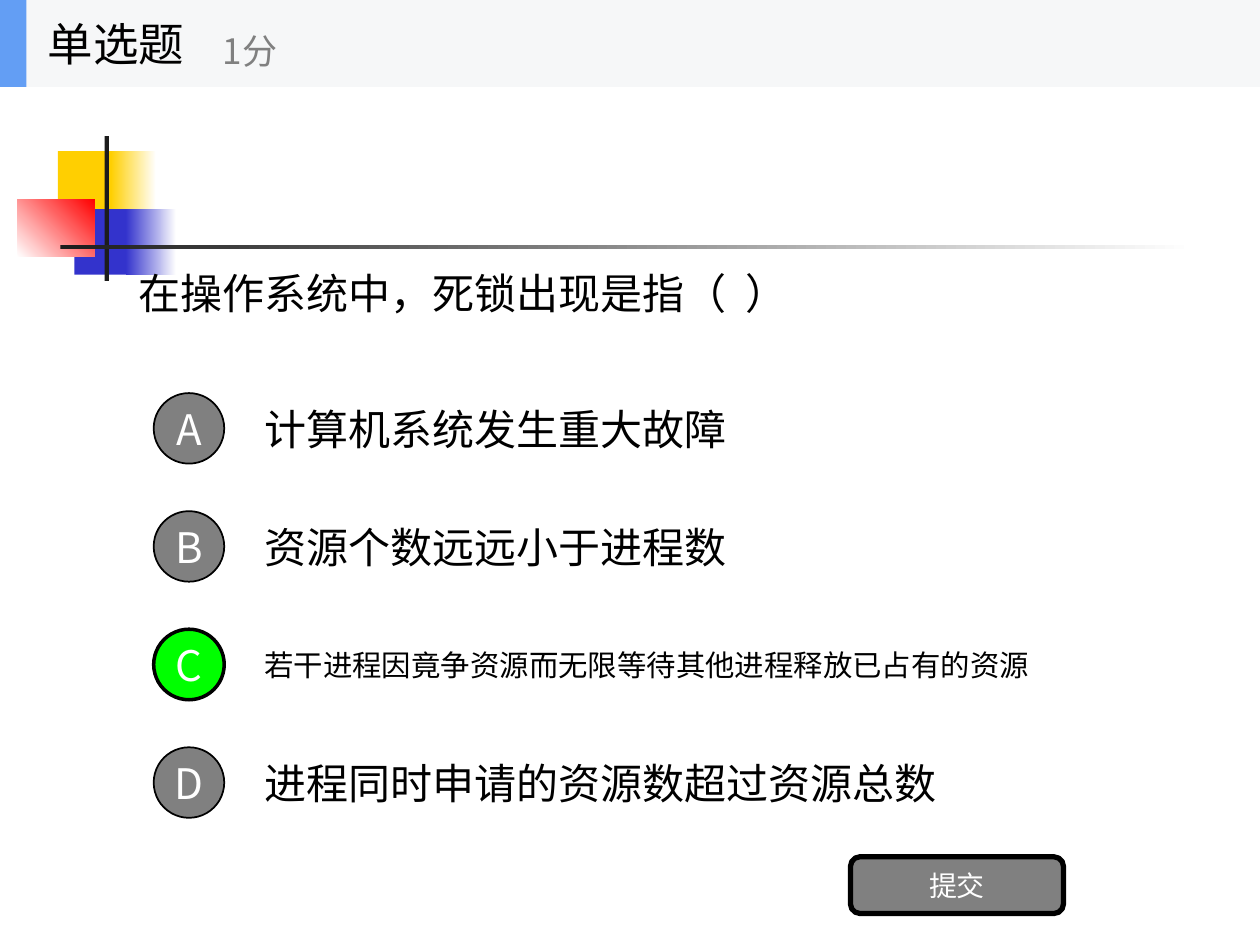
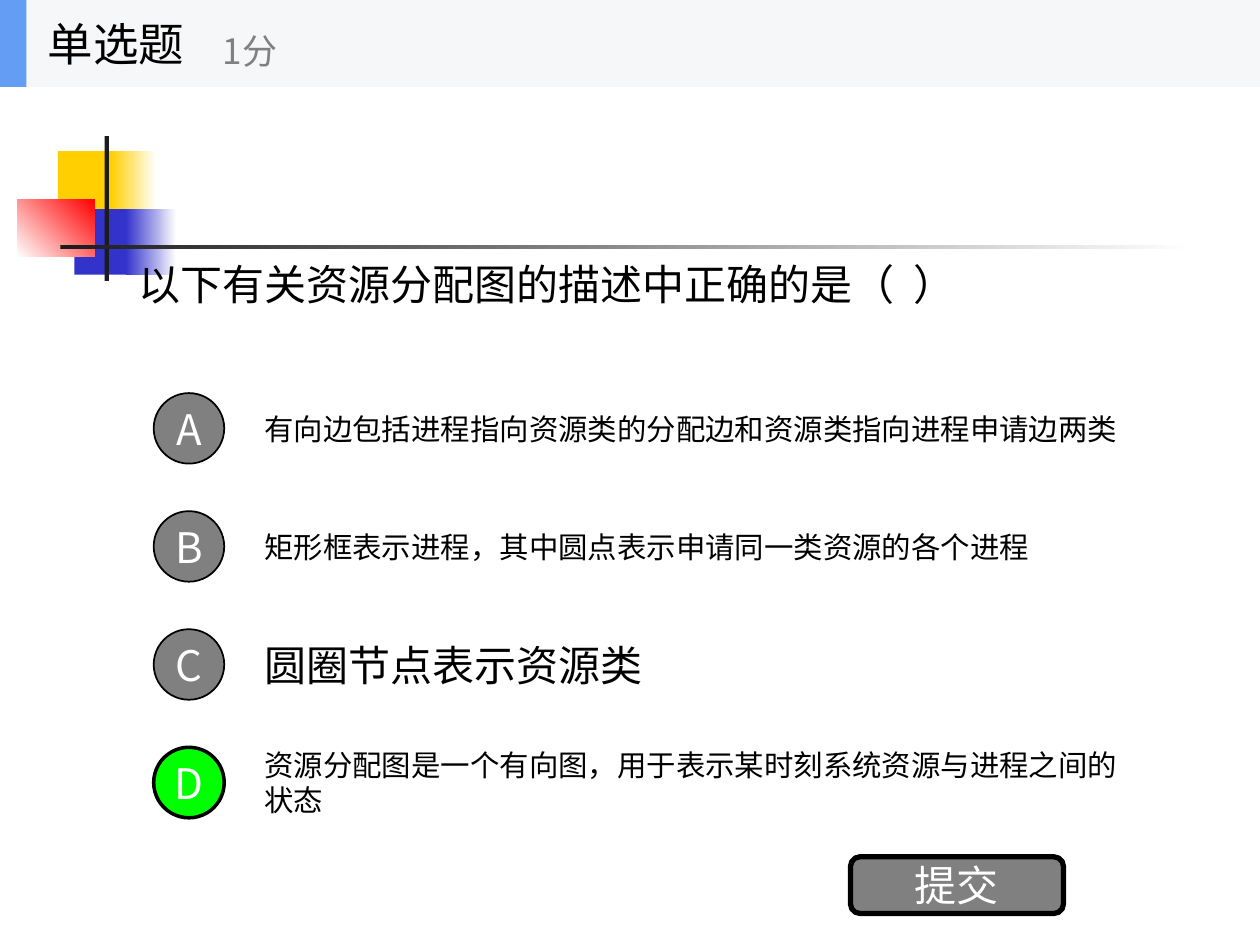
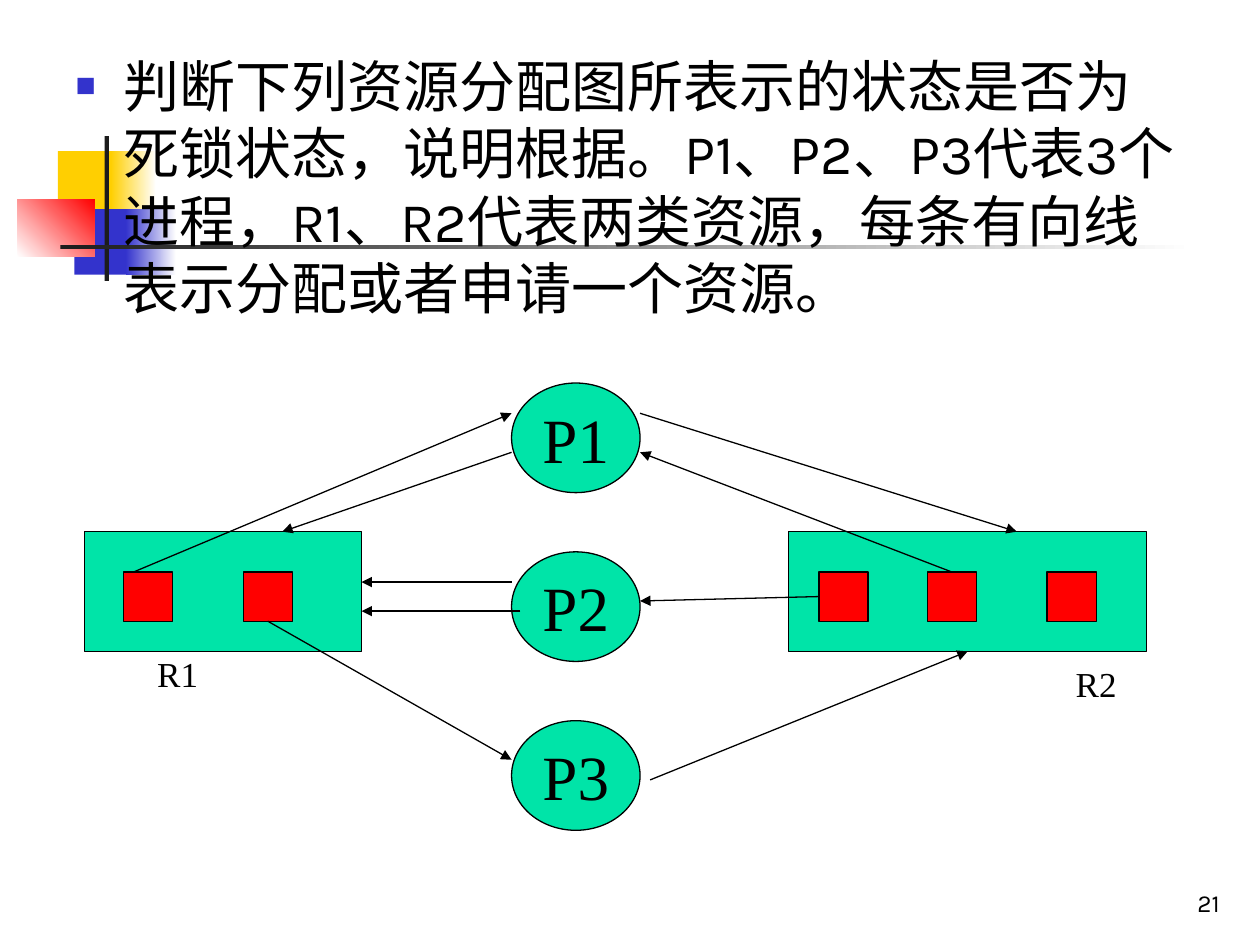
"""Build three slides of a deadlock quiz."""
from lxml import etree
from pptx import Presentation
from pptx.dml.color import RGBColor
from pptx.enum.shapes import MSO_CONNECTOR, MSO_SHAPE
from pptx.enum.text import MSO_ANCHOR, MSO_AUTO_SIZE, PP_ALIGN
from pptx.oxml.ns import qn
from pptx.util import Inches, Pt

RECTANGLE, ROUNDED, ELLIPSE = MSO_SHAPE.RECTANGLE, MSO_SHAPE.ROUNDED_RECTANGLE, MSO_SHAPE.OVAL
STRAIGHT = MSO_CONNECTOR.STRAIGHT
LEFT, CENTER, RIGHT = PP_ALIGN.LEFT, PP_ALIGN.CENTER, PP_ALIGN.RIGHT
TOP, MIDDLE, BOTTOM = MSO_ANCHOR.TOP, MSO_ANCHOR.MIDDLE, MSO_ANCHOR.BOTTOM
NO_AUTOFIT = MSO_AUTO_SIZE.NONE
TOP_SIDE, LEFT_SIDE, BOTTOM_SIDE = 0, 1, 2

COLUMNS = 100
TITLE_ONLY, TITLE_AND_BODY = 5, 1
KARLA, HAN, SERIF = "Karla", "Noto Sans CJK SC", "Times New Roman"
BLACK, WHITE, GRAY, INK = "000000", "FFFFFF", "808080", "1C1C1C"
YELLOW, BLUE, RED, LIME, MINT = "FFCF01", "3333CC", "FF0000", "00FF00", "00E4A8"
BAND, ACCENT = "F6F7F8", "639EF4"

OPTION_TOP, OPTION_STEP = 30.5, 9.37
OPTION_LINE_LENGTH = 20


def color(value):
    """Turn a hex string into a colour."""
    return RGBColor.from_string(value)


class Deck:
    """Hold the style and the current slide, measured on a grid of 100 columns."""

    def __init__(self):
        """Start a 10 by 7.5 inch presentation."""
        self.presentation = Presentation()
        self.presentation.slide_width = Inches(10)
        self.presentation.slide_height = Inches(7.5)
        self.cell = self.presentation.slide_width / COLUMNS
        self.slide = None

    def grid(self, *cells):
        """Convert grid cells to slide units."""
        return [round(cell * self.cell) for cell in cells]

    def add_slide(self, layout):
        """Add a slide and make it current."""
        self.slide = self.presentation.slides.add_slide(self.presentation.slide_layouts[layout])

    def label(self, shape, text, size, font=KARLA, ink=BLACK, align=LEFT, anchor=MIDDLE, wrap=True):
        """Put one formatted run into a shape."""
        frame = shape.text_frame
        frame.auto_size = NO_AUTOFIT
        frame.word_wrap = wrap
        frame.vertical_anchor = anchor
        paragraph = frame.paragraphs[0]
        paragraph.alignment = align
        paragraph.space_before = Pt(0)
        run = paragraph.add_run()
        run.text = text
        run.font.size = Pt(size)
        run.font.name = font
        run.font.color.rgb = color(ink)
        properties = run.font._element
        etree.SubElement(properties, qn("a:ea")).set("typeface", HAN)

    def place(self, shape, box):
        """Move a placeholder to a box on the grid."""
        shape.left, shape.top, shape.width, shape.height = self.grid(*box)

    def title(self, box, text, size):
        """Fill the title placeholder."""
        self.place(self.slide.shapes.title, box)
        self.label(self.slide.shapes.title, text, size)

    def bullet_body(self, box, text, size):
        """Fill the body placeholder with one bulleted paragraph, without a title."""
        title = self.slide.shapes.title.element
        title.getparent().remove(title)
        body = self.slide.placeholders[1]
        self.place(body, box)
        properties = body.text_frame.paragraphs[0]._p.get_or_add_pPr()
        properties.set("marL", str(Inches(0.38)))
        properties.set("indent", str(-Inches(0.38)))
        bullet_color = etree.SubElement(properties, qn("a:buClr"))
        etree.SubElement(bullet_color, qn("a:srgbClr")).set("val", BLUE)
        etree.SubElement(properties, qn("a:buSzPct")).set("val", "60000")
        etree.SubElement(properties, qn("a:buChar")).set("char", "■")
        self.label(body, text, size, anchor=TOP)

    def text(self, box, text, size, **style):
        """Add a text box."""
        self.label(self.slide.shapes.add_textbox(*self.grid(*box)), text, size, **style)

    def shape(self, kind, box, fill, line_width=0):
        """Add a solid preset shape, outlined in black if a width is given."""
        shape = self.slide.shapes.add_shape(kind, *self.grid(*box))
        shape.shadow.inherit = False
        shape.fill.solid()
        shape.fill.fore_color.rgb = color(fill)
        if line_width:
            shape.line.color.rgb = color(BLACK)
            shape.line.width = Pt(line_width)
        else:
            shape.line.fill.background()
        return shape

    def fade(self, box, start, end=WHITE, angle=0):
        """Add a rectangle with a two-colour gradient."""
        shape = self.shape(RECTANGLE, box, start)
        shape.fill.gradient()
        shape.fill.gradient_angle = angle
        for stop, value in zip(shape.fill.gradient_stops, (start, end)):
            stop.color.rgb = color(value)
        return shape

    def arrow(self, start, end, begin_join=None, end_join=None):
        """Add an arrow, joined to (shape, side) pairs where given."""
        connector = self.slide.shapes.add_connector(STRAIGHT, *self.grid(*start, *end))
        connector.line.color.rgb = color(BLACK)
        connector.line.width = Pt(0.75)
        if begin_join:
            connector.begin_connect(*begin_join)
        if end_join:
            connector.end_connect(*end_join)
        line = connector.line._get_or_add_ln()
        etree.SubElement(line, qn("a:tailEnd")).set("type", "triangle")
        etree.SubElement(connector.element.spPr, qn("a:effectLst"))

    def decorate_master(self):
        """Draw the coloured squares and rules, and move them to the slide master."""
        ornaments = [
            self.shape(RECTANGLE, (4.6, 12, 4.8, 5.2), YELLOW),
            self.fade((8.8, 12, 3.6, 5.2), YELLOW),
            self.shape(RECTANGLE, (5.9, 16.6, 4.6, 5.2), BLUE),
            self.fade((10, 16.6, 4, 5.2), BLUE),
            self.fade((1.4, 15.8, 6.1, 4.6), WHITE, RED, 45),
            self.shape(RECTANGLE, (8.3, 10.8, 0.35, 11.5), INK),
            self.fade((4.8, 19.45, 90, 0.35), INK),
        ]
        for ornament in ornaments:
            self.presentation.slide_master.shapes.element.append(ornament.element)

    def quiz_header(self):
        """Draw the band that names the question type and its points."""
        self.shape(RECTANGLE, (0, 0, 100, 6.9), BAND)
        self.shape(RECTANGLE, (0, 0, 2.1, 6.9), ACCENT)
        self.text((2.8, 0, 20.8, 6.9), "单选题", 26, font=HAN)
        self.text((16.7, 1.2, 25, 5.6), "1分", 20, font=HAN, ink=GRAY)

    def quiz(self, question, question_top, options, answer, submit_size):
        """Lay out a question, its lettered options and the submit button."""
        self.title((10, question_top, 80, 30.4 - question_top), question, 24)
        for index, (letter, option) in enumerate(zip("ABCD", options)):
            top = OPTION_TOP + index * OPTION_STEP
            size = 24 if len(option) <= OPTION_LINE_LENGTH else 16.8
            self.text((20, top, 70, 7), option, size)
            fill, line_width = (LIME, 2) if letter == answer else (GRAY, 1)
            badge = self.shape(ELLIPSE, (12.2, top + 0.7, 5.6, 5.6), fill, line_width)
            self.label(badge, letter, 24, HAN, WHITE, CENTER, wrap=False)
        button = self.shape(ROUNDED, (67.5, 68, 16.9, 4.5), GRAY, 3)
        self.label(button, "提交", submit_size, HAN, WHITE, CENTER, wrap=False)
        self.quiz_header()

    def resource(self, left, width, dot_lefts):
        """Draw a resource class and return it with its unit squares."""
        box = self.shape(RECTANGLE, (left, 42.2, width, 9.5), MINT, 0.75)
        dots = [self.shape(RECTANGLE, (dot, 45.4, 3.9, 3.9), RED, 0.75) for dot in dot_lefts]
        return box, dots

    def allocation_graph(self):
        """Draw the processes, the resource classes and the arrows between them."""
        for index, process in enumerate(("P1", "P2", "P3")):
            node = self.shape(ELLIPSE, (40.6, 30.4 + index * 13.4, 10.2, 8.7), MINT, 0.75)
            self.label(node, process, 36, SERIF, align=CENTER, wrap=False)
        _, first_dots = self.resource(6.7, 22, (9.8, 19.3))
        second_box, second_dots = self.resource(62.6, 28.4, (65, 73.6, 83.1))
        self.text((82.3, 52.1, 9.4, 4.4), "R2", 20, font=SERIF, align=CENTER, anchor=TOP)
        self.text((9, 51.3, 10.2, 4.4), "R1", 20, font=SERIF, align=CENTER, anchor=TOP)

        self.arrow((10.6, 45.4), (40.6, 32.8))
        self.arrow((40.6, 35.9), (22.4, 42.2))
        self.arrow((21.6, 49.3), (40.6, 60.3), begin_join=(first_dots[1], BOTTOM_SIDE))
        self.arrow((40.6, 46.2), (28.7, 46.2))
        self.arrow((41.3, 48.5), (28.7, 48.5))
        self.arrow((65, 47.7), (50.8, 47.7), begin_join=(second_dots[0], LEFT_SIDE))
        self.arrow((51.6, 61.9), (76.8, 51.7), end_join=(second_box, BOTTOM_SIDE))
        self.arrow((75.2, 45.4), (50.8, 35.9), begin_join=(second_dots[1], TOP_SIDE))
        self.arrow((50.8, 32.8), (80.7, 42.2))


def main():
    """Build and save the slides."""
    deck = Deck()
    deck.add_slide(TITLE_ONLY)
    deck.decorate_master()
    deck.quiz("在操作系统中，死锁出现是指（  ）", 16.1, (
        "计算机系统发生重大故障",
        "资源个数远远小于进程数",
        "若干进程因竟争资源而无限等待其他进程释放已占有的资源",
        "进程同时申请的资源数超过资源总数",
    ), "C", 16)

    deck.add_slide(TITLE_ONLY)
    deck.quiz("以下有关资源分配图的描述中正确的是（  ）", 14.7, (
        "有向边包括进程指向资源类的分配边和资源类指向进程申请边两类",
        "矩形框表示进程，其中圆点表示申请同一类资源的各个进程",
        "圆圈节点表示资源类",
        "资源分配图是一个有向图，用于表示某时刻系统资源与进程之间的状态",
    ), "D", 24)

    deck.add_slide(TITLE_AND_BODY)
    deck.bullet_body(
        (5, 3.6, 90, 66.1),
        "判断下列资源分配图所表示的状态是否为死锁状态，说明根据。P1、P2、P3代表3个进程，"
        "R1、R2代表两类资源，每条有向线表示分配或者申请一个资源。", 32)
    deck.text((77, 68.3, 20.8, 5), "21", 14, align=RIGHT, anchor=BOTTOM)
    deck.allocation_graph()
    deck.presentation.save("out.pptx")


if __name__ == "__main__":
    main()
